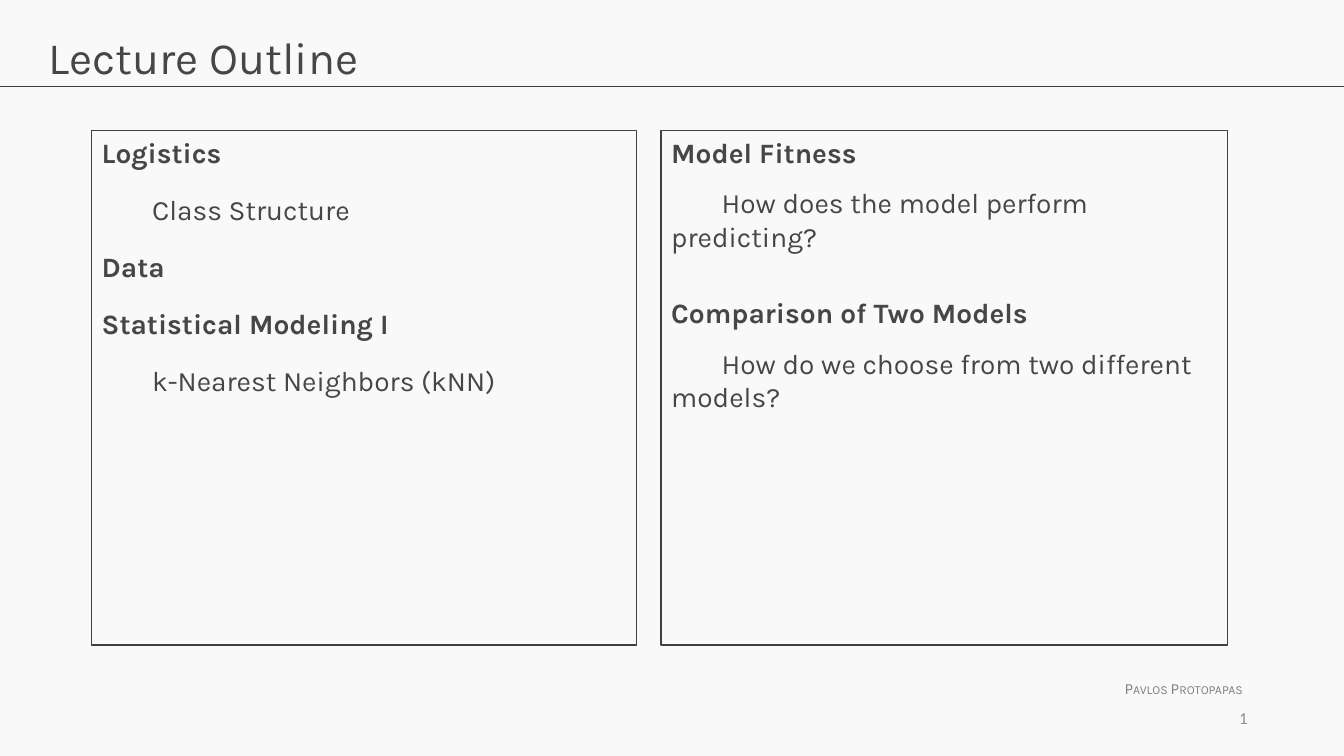
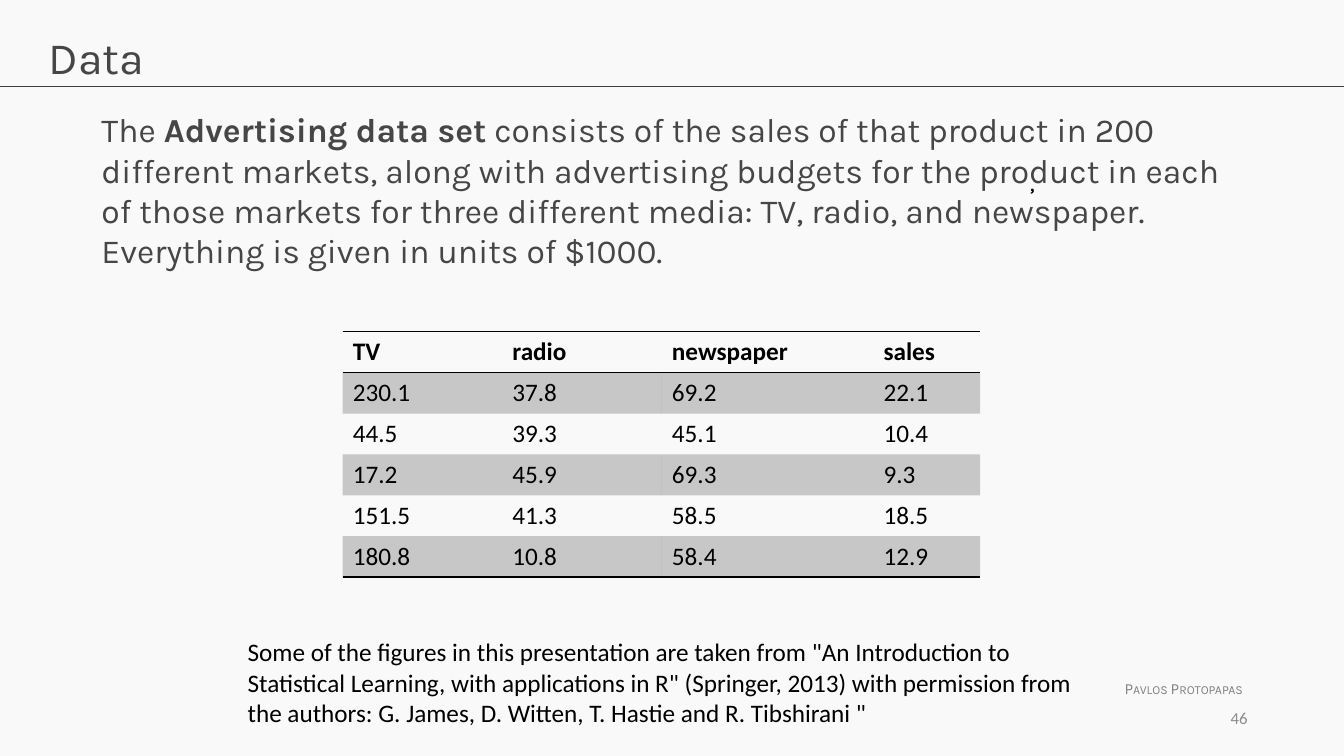
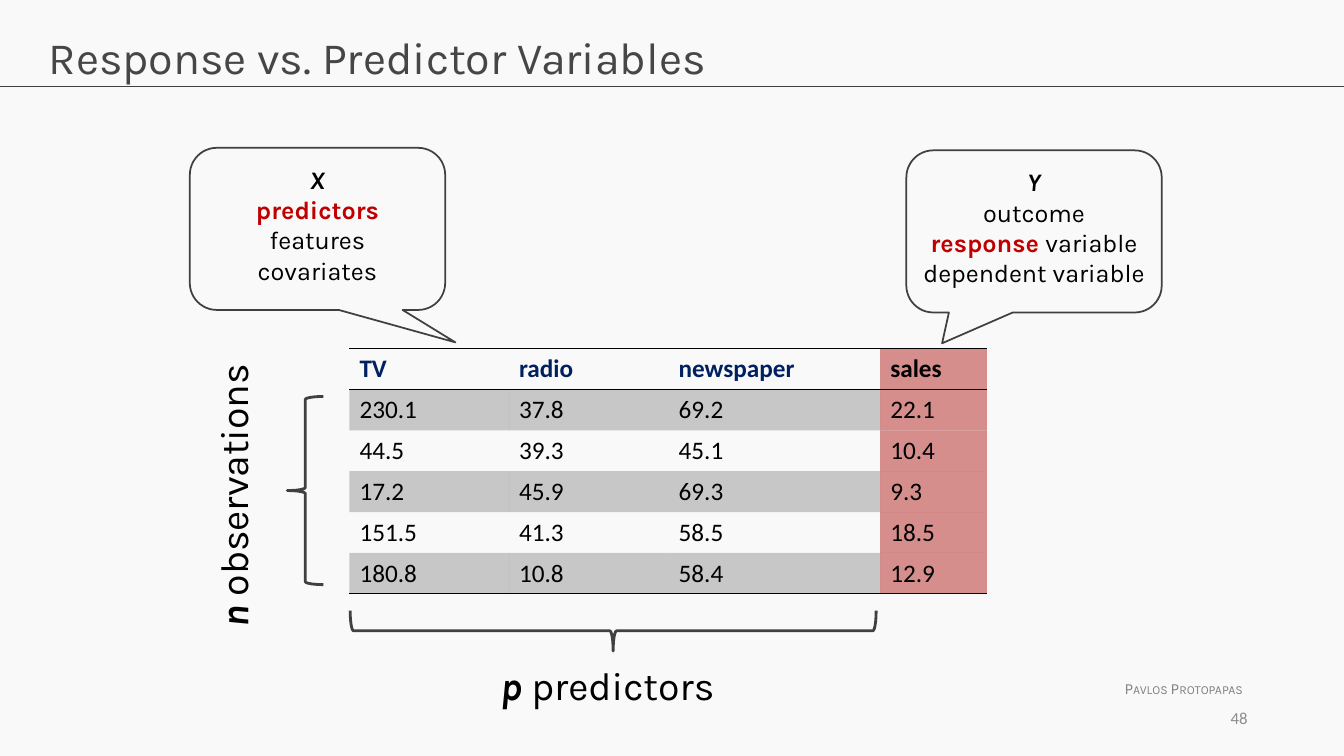
from dataclasses import dataclass
from typing import Any, Optional

import pptx
import pptx.dml.color
import pptx.enum.dml
import pptx.enum.shapes
import pptx.enum.text
import pptx.oxml.ns
import pptx.util
from lxml import etree

Align = pptx.enum.text.PP_ALIGN
Anchor = pptx.enum.text.MSO_ANCHOR
Kind = pptx.enum.shapes.MSO_SHAPE
qn = pptx.oxml.ns.qn

COLS, ROWS = 160, 90
WIDE, HIGH = pptx.util.Inches(13.33), pptx.util.Inches(7.5)
HEX = {
    "page": "F9F9F9", "line": "404040", "text": "464646", "name": "808080",
    "num": "8C8C8C", "black": "000000", "red": "C00000", "navy": "002060",
    "rose": "C0504D",
}
SANS, TABLE = "Karla", "Calibri"
PLAIN = "{2D5ABB26-0587-4C30-8999-92F81FD0307C}"

HEAD = ["TV", "radio", "newspaper", "sales"]
SALES = [
    ["230.1", "37.8", "69.2", "22.1"],
    ["44.5", "39.3", "45.1", "10.4"],
    ["17.2", "45.9", "69.3", "9.3"],
    ["151.5", "41.3", "58.5", "18.5"],
    ["180.8", "10.8", "58.4", "12.9"],
]
SPANS = [19, 19, 25.2, 12.7]
STEP = 4.86


def col(n: float) -> int:
    return round(WIDE * n / COLS)


def row(n: float) -> int:
    return round(HIGH * n / ROWS)


def rgb(key: str) -> pptx.dml.color.RGBColor:
    return pptx.dml.color.RGBColor.from_string(HEX[key])


@dataclass(frozen=True)
class Box:
    """A frame in grid columns and rows."""
    x: float
    y: float
    w: float
    h: float

    def emu(self) -> tuple[int, int, int, int]:
        return col(self.x), row(self.y), col(self.w), row(self.h)


@dataclass(frozen=True)
class Run:
    text: str
    bold: bool = False
    slant: bool = False
    hue: Optional[str] = None


@dataclass(frozen=True)
class Para:
    runs: list[Run]
    before: float = 0
    after: float = 0
    indent: float = 0


@dataclass(frozen=True)
class Style:
    size: float
    hue: str = "black"
    font: str = SANS
    align: Any = Align.LEFT
    anchor: Any = Anchor.TOP
    wrap: bool = True


@dataclass(frozen=True)
class Call:
    """A speech bubble with the tip of its tail."""
    box: Box
    tip: tuple[float, float]
    lines: list[Para]


TITLE = Style(32, "text")
LIST = Style(20, "text")
NAME = Style(11, "name", wrap=False)
PAGE = Style(12, "num", TABLE, Align.RIGHT, Anchor.MIDDLE)
CELL = Style(18, font=TABLE)
CALL = Style(18, align=Align.CENTER, wrap=False)
LABEL = Style(28, wrap=False)


def line(text: str, **look: Any) -> Para:
    return Para([Run(text, **look)])


def write(frame: Any, paras: list[Para], style: Style) -> None:
    frame.word_wrap = style.wrap
    frame.auto_size = pptx.enum.text.MSO_AUTO_SIZE.NONE
    frame.vertical_anchor = style.anchor
    for i, para in enumerate(paras):
        p = frame.add_paragraph() if i else frame.paragraphs[0]
        p.alignment = style.align
        p.space_before = pptx.util.Pt(para.before if i else 0)
        p.space_after = pptx.util.Pt(para.after)
        props = p._p.get_or_add_pPr()
        props.set("marL", "0")
        props.set("indent", str(col(para.indent)))
        etree.SubElement(props, qn("a:buNone"))
        for part in para.runs:
            run = p.add_run()
            run.text = part.text
            font = run.font
            font.name, font.size = style.font, pptx.util.Pt(style.size)
            font.bold, font.italic = part.bold, part.slant
            font.color.rgb = rgb(part.hue or style.hue)


def label(slide: Any, box: Box, paras: list[Para], style: Style) -> Any:
    shape = slide.shapes.add_textbox(*box.emu())
    write(shape.text_frame, paras, style)
    return shape


def place(holder: Any, box: Box, paras: list[Para], style: Style) -> None:
    holder.left, holder.top, holder.width, holder.height = box.emu()
    write(holder.text_frame, paras, style)


def stroke(shape: Any, width: float) -> None:
    shape.line.color.rgb = rgb("line")
    shape.line.width = pptx.util.Pt(width)


def outline(slide: Any, kind: Any, box: Box, width: float) -> Any:
    shape = slide.shapes.add_shape(kind, *box.emu())
    shape.shadow.inherit = False
    shape.fill.background()
    stroke(shape, width)
    return shape


def start(deck: Any, layout: int, title: str, page: int) -> Any:
    """Add a slide with its title, rule, author and page number."""
    slide = deck.slides.add_slide(deck.slide_layouts[layout])
    rule = slide.shapes.add_connector(
        pptx.enum.shapes.MSO_CONNECTOR.STRAIGHT, 0, row(10.3), WIDE, row(10.3))
    stroke(rule, 0.75)
    etree.SubElement(rule._element.spPr, qn("a:effectLst"))
    name = label(slide, Box(132.7, 80.2, 16.9, 3.5),
                 [line("Pavlos Protopapas")], NAME)
    run = name.text_frame.paragraphs[0].runs[0]
    run._r.get_or_add_rPr().set("cap", "small")
    place(slide.shapes.title, Box(4.6, 2.9, 150.8, 10.1), [line(title)], TITLE)
    label(slide, Box(112.4, 83, 37.3, 4.8), [line(str(page))], PAGE)
    return slide


def shade(cell: Any, hue: str, alpha: int) -> None:
    cell.fill.solid()
    cell.fill.fore_color.rgb = rgb(hue)
    tint = cell._tc.tcPr.find(".//" + qn("a:srgbClr"))
    etree.SubElement(tint, qn("a:alpha"), val=str(alpha * 1000))


def border(cell: Any, sides: str) -> None:
    props = cell._tc.get_or_add_tcPr()
    for i, side in enumerate(sides):
        edge = etree.Element(qn("a:ln" + side), w=str(pptx.util.Pt(1)))
        fill = etree.SubElement(edge, qn("a:solidFill"))
        etree.SubElement(fill, qn("a:srgbClr"), val=HEX["black"])
        props.insert(i, edge)


def grid(slide: Any, x: float, y: float, marked: bool = False) -> None:
    """Draw the sales table; marked sets the response column apart."""
    data = [HEAD] + SALES
    last = len(data) - 1
    box = Box(x, y, sum(SPANS), STEP * len(data))
    frame = slide.shapes.add_table(len(data), len(HEAD), *box.emu())
    table = frame.table
    table.first_row = table.horz_banding = False
    next(frame._element.iter(qn("a:tableStyleId"))).text = PLAIN
    for c, span in enumerate(SPANS):
        table.columns[c].width = col(span)
    for r, texts in enumerate(data):
        table.rows[r].height = row(STEP)
        for c, text in enumerate(texts):
            cell = table.cell(r, c)
            reply = marked and c == len(HEAD) - 1
            hue = "navy" if marked and r == 0 and not reply else "black"
            write(cell.text_frame, [line(text, bold=r == 0, hue=hue)], CELL)
            if reply:
                shade(cell, "rose", 63)
            elif r % 2:
                shade(cell, "black", 20)
            else:
                cell.fill.background()
            border(cell, "TB" if r == 0 else "B" if r == last else "")


def bubble(slide: Any, call: Call) -> None:
    shape = outline(slide, Kind.ROUNDED_RECTANGULAR_CALLOUT, call.box, 1.25)
    shape.adjustments[0], shape.adjustments[1] = call.tip
    frame = shape.text_frame
    frame.margin_left = frame.margin_right = 0
    frame.margin_top = row(1)
    write(frame, call.lines, CALL)


def topics(deck: Any) -> None:
    slide = start(deck, 3, "Lecture Outline", 1)

    def head(text: str, gap: float) -> Para:
        return Para([Run(text, True)], gap, 12)

    def item(text: str, gap: float) -> Para:
        return Para([Run(text)], gap, 12, 6)

    near, far = 4.7, 18.7
    left = [
        head("Logistics", near),
        item("Class Structure", near),
        head("Data", near),
        head("Statistical Modeling I", near),
        item("k-Nearest Neighbors (kNN)", near),
    ]
    right = [
        head("Model Fitness", far),
        item("How does the model perform predicting?", 0),
        head("Comparison of Two Models", far),
        item("How do we choose from two different models?", 0),
    ]
    panels = [(10.9, 64.9, left), (78.7, 67.4, right)]
    for i, (x, w, paras) in enumerate(panels, 1):
        panel = slide.placeholders[i]
        place(panel, Box(x, 15.5, w, 61.3), paras, LIST)
        stroke(panel, 1)


def market(deck: Any) -> None:
    slide = start(deck, 5, "Data", 46)
    grid(slide, 40.8, 39.5)
    label(slide, Box(121.4, 19.2, 3, 8.5), [line(",")], CALL)
    label(slide, Box(10.9, 12.4, 135.5, 27.7), [Para([
        Run("The "),
        Run("Advertising data set", True),
        Run(" consists of the sales of that product in 200 different markets, "
            "along with advertising budgets for the product in each of those "
            "markets for three different media: TV, radio, and newspaper. "
            "Everything is given in units of $1000."),
    ])], Style(24, "text"))
    label(slide, Box(28.3, 75.2, 103.3, 14), [line(
        "Some of the figures in this presentation are taken from "
        "\"An Introduction to Statistical Learning, with applications in R\" "
        "(Springer, 2013) with permission from the authors: "
        "G. James, D. Witten, T. Hastie and R. Tibshirani \"")], CELL)


def roles(deck: Any) -> None:
    slide = start(deck, 5, "Response vs. Predictor Variables", 48)
    grid(slide, 41.6, 41.5, marked=True)
    calls = [
        Call(Box(107.9, 17.9, 30.4, 19.3), (-0.36, 0.69), [
            line("Y", bold=True, slant=True),
            line("outcome"),
            Para([Run("response ", True, hue="red"), Run("variable")]),
            line("dependent variable"),
        ]),
        Call(Box(22.6, 17.6, 30.4, 19.3), (0.54, 0.7), [
            line("X", bold=True, slant=True),
            line("predictors", bold=True, hue="red"),
            line("features"),
            line("covariates"),
        ]),
    ]
    for call in calls:
        bubble(slide, call)
    sides = [
        (Box(70.6, 43.8, 4.8, 62.6), 270,
         Box(58.4, 78.1, 28.3, 6.8), 0, "p", " predictors"),
        (Box(34.2, 47.2, 4.3, 22.4), 0,
         Box(10, 54.8, 35.4, 6.8), 270, "n", " observations"),
    ]
    for brace, turn, box, tilt, sign, word in sides:
        outline(slide, Kind.LEFT_BRACE, brace, 2).rotation = turn
        paras = [Para([Run(sign, True, True), Run(word)])]
        label(slide, box, paras, LABEL).rotation = tilt


def main() -> None:
    deck = pptx.Presentation()
    deck.slide_width, deck.slide_height = WIDE, HIGH
    back = deck.slide_master.background.fill
    back.solid()
    back.fore_color.rgb = rgb("page")
    for build in (topics, market, roles):
        build(deck)
    deck.save("out.pptx")


if __name__ == "__main__":
    main()
